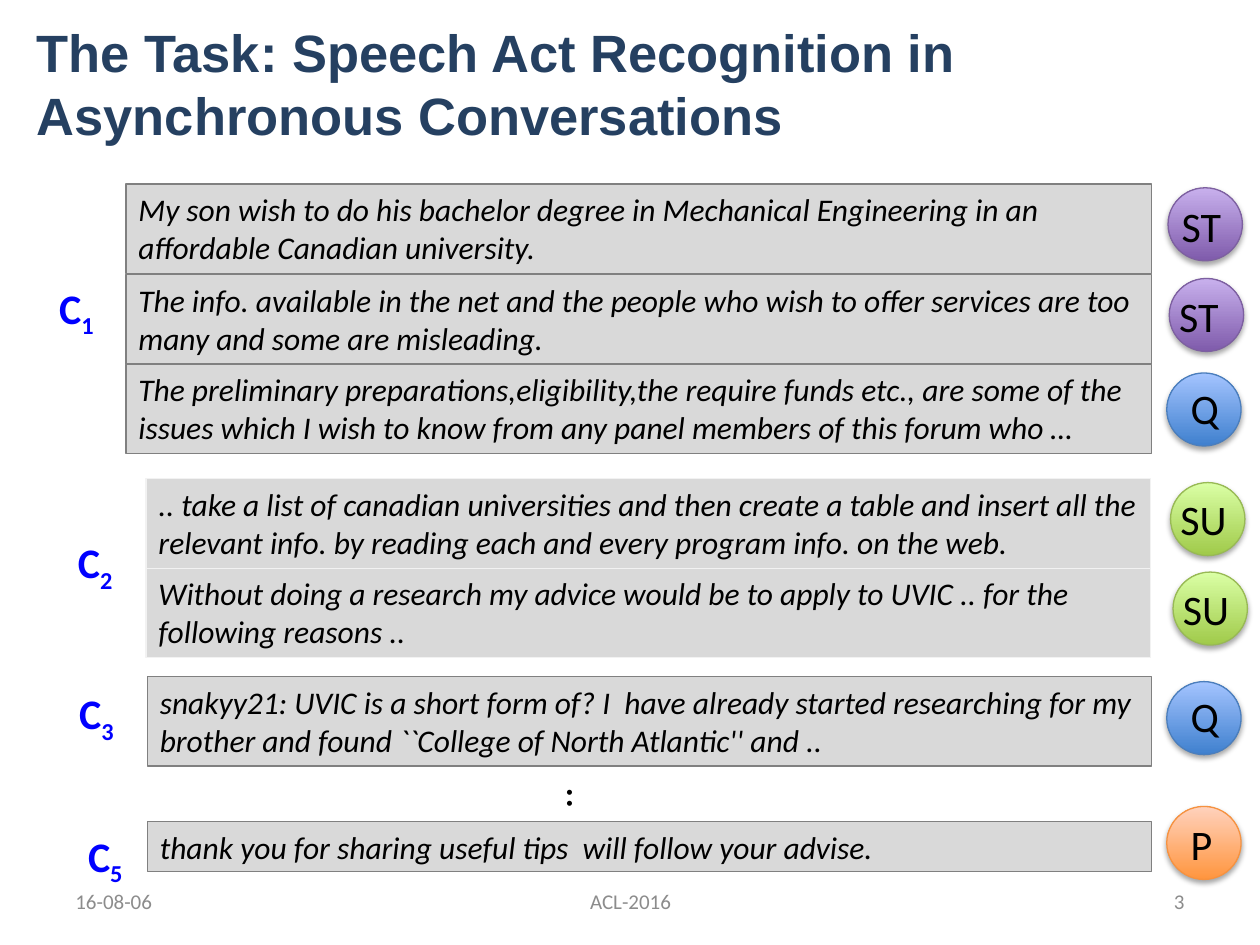
import pptx
import pptx.util
import pptx.dml.color
import pptx.enum.shapes
import pptx.enum.text
import pptx.oxml
import pptx.oxml.ns

Inches = pptx.util.Inches
Pt = pptx.util.Pt
SHAPE = pptx.enum.shapes.MSO_SHAPE
ALIGN = pptx.enum.text.PP_ALIGN
ANCHOR = pptx.enum.text.MSO_ANCHOR

HEX = {"title": "254061", "foot": "8C8C8C", "mark": "0000FF", "ink": "000000",
       "box": "D9D9D9", "edge": "808080", "pale": "F2F2F2"}

# Speech acts: bottom colour, top colour, outline
ACTS = {"ST": ("7F5BAB", "C8B0ED", "7D60A0"),
        "Q": ("3F80CE", "A4C4FF", "4B7EBC"),
        "SU": ("A0CA4A", "DAFFA5", "98B955"),
        "P": ("FF953E", "FFD2BD", "F69240")}

# Comments: number, mark place, box left, width, line colour, (top, height, text)
POSTS = [
    (1, (0.37, 2.19), 1, 8.14, "edge", [
        (1.46, 0.71, "My son wish to do his bachelor degree in Mechanical "
         "Engineering in an affordable Canadian university."),
        (2.18, 0.71, "The info. available in the net and the people who wish to "
         "offer services are too many and some are misleading."),
        (2.89, 0.71, "The preliminary preparations,eligibility,the require funds "
         "etc., are some of the issues which I wish to know from any panel "
         "members of this forum who …")]),
    (2, (0.52, 4.21), 1.16, 7.97, "pale", [
        (3.8, 0.71, ".. take a list of canadian universities and then create a "
         "table and insert all the relevant info. by reading each and every "
         "program info. on the web."),
        (4.51, 0.71, "Without doing a research my advice would be to apply to "
         "UVIC .. for the following reasons ..")]),
    (3, (0.53, 5.41), 1.17, 7.97, "edge", [
        (5.37, 0.71, "snakyy21: UVIC is a short form of? I  have already started "
         "researching for my brother and found ``College of North Atlantic'' "
         "and ..")]),
    (5, (0.6, 6.54), 1.17, 7.97, "edge", [
        (6.52, 0.4, "thank you for sharing useful tips  will follow your advise.")]),
]

# Balls: act, ball left and top, label left and top
BALLS = [("ST", 9.27, 1.49, 9.28, 1.54), ("Q", 9.26, 5.41, 9.27, 5.43),
         ("P", 9.26, 6.4, 9.27, 6.45), ("ST", 9.28, 2.21, 9.26, 2.26),
         ("SU", 9.29, 3.83, 9.27, 3.87), ("SU", 9.31, 4.54, 9.29, 4.58),
         ("Q", 9.26, 2.96, 9.27, 2.99)]


def color(code):
    return pptx.dml.color.RGBColor.from_string(code)


def add_run(para, text, size, ink, face="Calibri", bold=False, slant=False):
    run = para.add_run()
    run.text = text
    font = run.font
    font.name, font.size, font.bold, font.italic = face, Pt(size), bold, slant
    font.color.rgb = color(HEX[ink])
    return run


def add_text(shapes, x, y, w, h, text, size, ink, bold=False,
             align=ALIGN.LEFT, anchor=ANCHOR.TOP):
    box = shapes.add_textbox(Inches(x), Inches(y), Inches(w), Inches(h))
    frame = box.text_frame
    frame.word_wrap = True
    frame.vertical_anchor = anchor
    para = frame.paragraphs[0]
    para.alignment = align
    add_run(para, text, size, ink, bold=bold)
    return box


def add_title(slide):
    title = slide.shapes.title
    title.left, title.top = Inches(0.19), Inches(0.11)
    title.width, title.height = Inches(9.47), Inches(1.18)
    frame = title.text_frame
    frame.word_wrap = True
    frame.auto_size = pptx.enum.text.MSO_AUTO_SIZE.NONE
    frame.vertical_anchor = ANCHOR.TOP
    para = frame.paragraphs[0]
    para.alignment = ALIGN.LEFT
    add_run(para, "The Task: Speech Act Recognition in Asynchronous Conversations",
            30, "title", "Arial", bold=True)


def add_mark(shapes, x, y, num):
    box = add_text(shapes, x, y, 0.72, 0.5, "C", 24, "mark", bold=True)
    sub = add_run(box.text_frame.paragraphs[0], str(num), 24, "mark", bold=True)
    sub.font._element.set("baseline", "-25000")


def add_quote(shapes, x, y, w, h, text, edge):
    box = shapes.add_shape(SHAPE.RECTANGLE, Inches(x), Inches(y),
                           Inches(w), Inches(h))
    box.shadow.inherit = False
    box.fill.solid()
    box.fill.fore_color.rgb = color(HEX["box"])
    box.line.color.rgb = color(HEX[edge])
    box.line.width = Pt(0.75)
    frame = box.text_frame
    frame.word_wrap = True
    frame.vertical_anchor = ANCHOR.TOP
    para = frame.paragraphs[0]
    para.alignment = ALIGN.LEFT
    add_run(para, text, 18, "ink", slant=True)


def add_shade(shape):
    shape.shadow.inherit = False
    glow = shape._element.spPr.find(pptx.oxml.ns.qn("a:effectLst"))
    glow.append(pptx.oxml.parse_xml(
        f'<a:outerShdw {pptx.oxml.ns.nsdecls("a")} blurRad="{Pt(3.1)}" '
        f'dist="{Pt(1.8)}" dir="5400000" rotWithShape="0">'
        '<a:srgbClr val="000000"><a:alpha val="35000"/></a:srgbClr>'
        '</a:outerShdw>'))


def add_ball(shapes, act, x, y, left, top):
    low, high, edge = ACTS[act]
    ball = shapes.add_shape(SHAPE.OVAL, Inches(x), Inches(y),
                            Inches(0.59), Inches(0.58))
    ball.fill.gradient()
    ball.fill.gradient_angle = 90
    for stop, code, place in zip(ball.fill.gradient_stops, (low, high), (0, 1)):
        stop.color.rgb = color(code)
        stop.position = place
    ball.line.color.rgb = color(edge)
    ball.line.width = Pt(0.75)
    add_shade(ball)
    label = add_text(shapes, left, top, 0.59, 0.5, act, 24, "ink")
    if len(act) == 1:
        label.text_frame.margin_left = Inches(0.18)


def main():
    deck = pptx.Presentation()
    deck.slide_width, deck.slide_height = Inches(10), Inches(7.5)
    slide = deck.slides.add_slide(deck.slide_layouts[5])
    shapes = slide.shapes
    add_title(slide)

    # Footer
    for x, w, text, align in [(0.5, 2.33, "16-08-06", ALIGN.LEFT),
                              (3.42, 3.17, "ACL-2016", ALIGN.CENTER),
                              (7.17, 2.33, "3", ALIGN.RIGHT)]:
        add_text(shapes, x, 6.95, w, 0.4, text, 12, "foot",
                 align=align, anchor=ANCHOR.MIDDLE)

    # Comments and their sentences
    for num, (x, y), left, wide, edge, quotes in POSTS:
        add_mark(shapes, x, y, num)
        home = shapes.add_group_shape().shapes if len(quotes) > 1 else shapes
        for top, high, text in quotes:
            add_quote(home, left, top, wide, high, text, edge)

    # Upright dots for the comments left out
    dots = add_text(shapes, 4.44, 6.1, 0.39, 0.5, "..", 24, "ink")
    dots.rotation = 90

    # Speech act balls
    group = shapes.add_group_shape().shapes
    for ball in BALLS:
        add_ball(group, *ball)

    deck.save("out.pptx")


if __name__ == "__main__":
    main()
